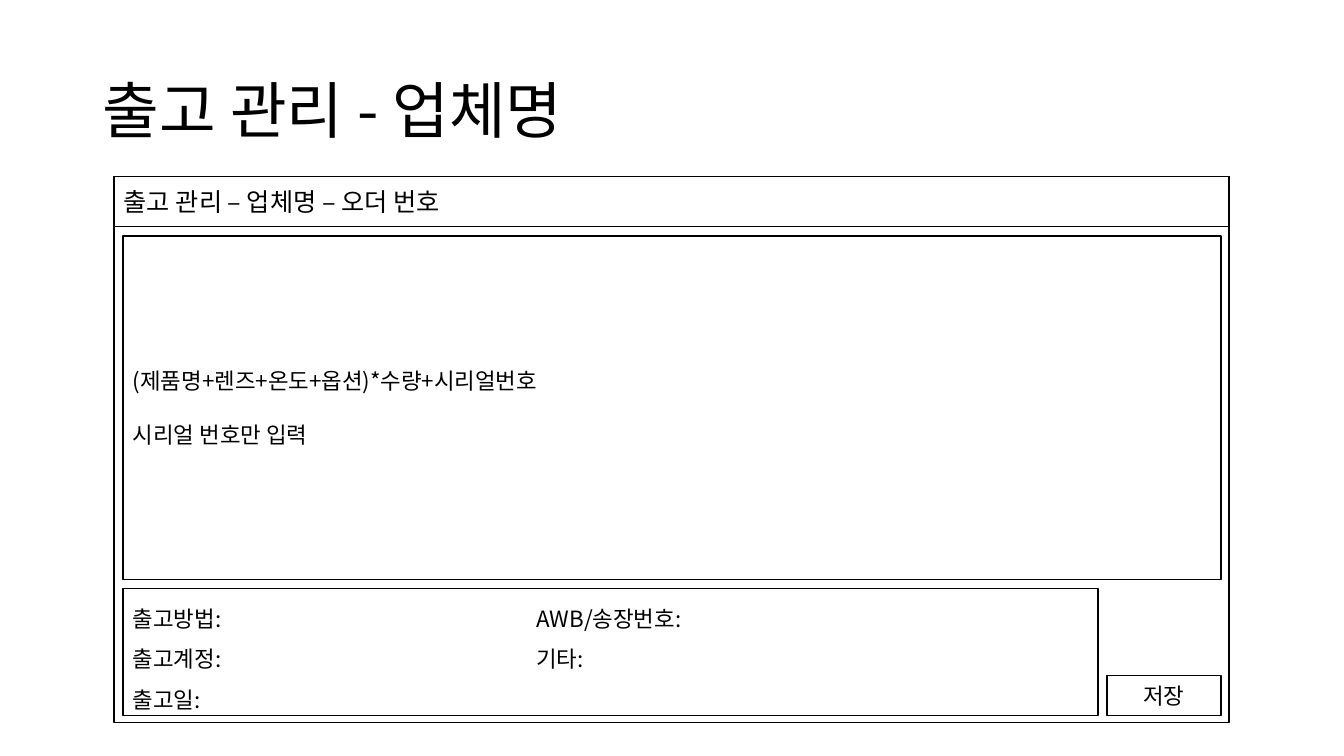
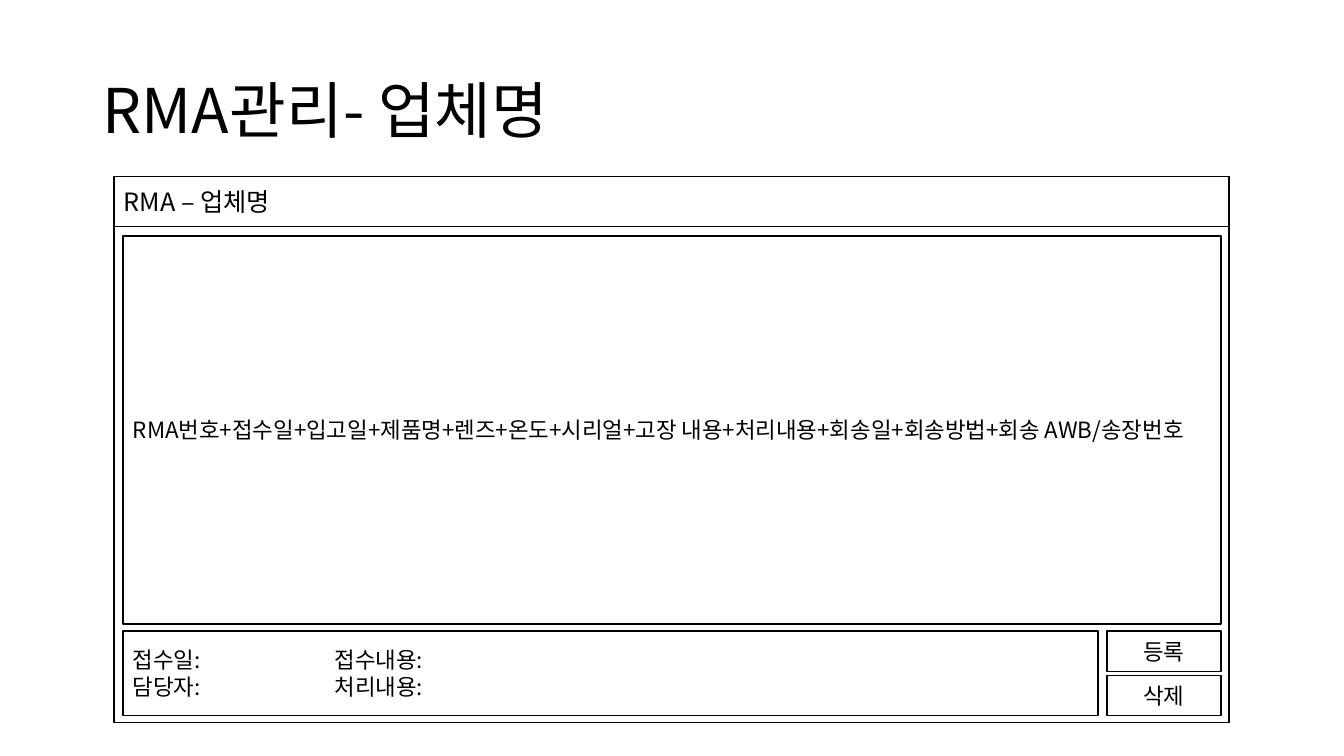
from dataclasses import dataclass

from lxml.etree import SubElement
from pptx import Presentation
from pptx.dml.color import RGBColor
from pptx.enum.shapes import MSO_SHAPE as Preset
from pptx.enum.text import MSO_ANCHOR as Anchor, MSO_AUTO_SIZE as AutoSize, PP_ALIGN as Align
from pptx.oxml.ns import qn
from pptx.util import Inches, Pt


@dataclass(frozen=True)
class Theme:
    font: str = "Noto Sans CJK KR"
    ink: RGBColor = RGBColor(0, 0, 0)
    title_size: int = 44
    caption_size: int = 18
    body_size: int = 16
    line_width: int = 1


FRAME = (1.13, 1.75, 11.06, 5.42)
HEADER = (1.13, 1.75, 11.06, 0.5)
CAPTION = (1.13, 1.8, 11.06, 0.4)
INNER_LEFT, INNER_TOP, INNER_WIDTH, INNER_BOTTOM = 1.22, 2.34, 10.89, 7.1
FIELDS_WIDTH = 9.67
BUTTON_LEFT, BUTTON_WIDTH, BUTTON_HEIGHT, BUTTON_STEP = 10.98, 1.13, 0.4, 0.44


def assign(target, values):
    for name, value in values.items():
        setattr(target, name, value)


class ScreenDeck:
    def __init__(self, theme):
        self.theme = theme
        self.deck = Presentation()
        assign(self.deck, {"slide_width": Inches(13.33), "slide_height": Inches(7.5)})
        self.slide = None

    def add_lines(self, frame, lines, size, tab=None, **paragraph_format):
        for index, line in enumerate(lines):
            paragraph = frame.paragraphs[0] if index == 0 else frame.add_paragraph()
            values = {"alignment": Align.LEFT, **paragraph_format}
            if index == 0:
                values.pop("space_before", None)
            assign(paragraph, values)
            if tab:
                stops = SubElement(paragraph._p.get_or_add_pPr(), qn("a:tabLst"))
                SubElement(stops, qn("a:tab"), pos=str(Inches(tab)), algn="l")
            run = paragraph.add_run()
            run.text = line
            assign(run.font, {"name": self.theme.font, "size": Pt(size)})
            run.font.color.rgb = self.theme.ink
            SubElement(run._r.get_or_add_rPr(), qn("a:ea"), typeface=self.theme.font)

    def title(self, text):
        self.slide = self.deck.slides.add_slide(self.deck.slide_layouts[5])
        heading = self.slide.shapes.title
        assign(heading, {"left": Inches(0.92), "top": Inches(0.4),
                         "width": Inches(11.5), "height": Inches(1.45)})
        assign(heading.text_frame, {"vertical_anchor": Anchor.MIDDLE, "word_wrap": True,
                                    "auto_size": AutoSize.NONE})
        self.add_lines(heading.text_frame, [text], self.theme.title_size, line_spacing=0.9)

    def box(self, place, lines=(), **text_format):
        panel = self.slide.shapes.add_shape(Preset.RECTANGLE, *map(Inches, place))
        panel.shadow.inherit = False
        panel.fill.background()
        panel.line.color.rgb = self.theme.ink
        panel.line.width = Pt(self.theme.line_width)
        assign(panel.text_frame, {"vertical_anchor": Anchor.MIDDLE, "word_wrap": True})
        self.add_lines(panel.text_frame, lines, self.theme.body_size, **text_format)

    def caption(self, text):
        label = self.slide.shapes.add_textbox(*map(Inches, CAPTION))
        assign(label.text_frame, {"word_wrap": True, "auto_size": AutoSize.SHAPE_TO_FIT_TEXT})
        self.add_lines(label.text_frame, [text], self.theme.caption_size)

    def window(self, title, caption):
        self.title(title)
        self.box(FRAME)
        self.box(HEADER)
        self.caption(caption)

    def content(self, bottom, lines, **text_format):
        self.box((INNER_LEFT, INNER_TOP, INNER_WIDTH, bottom - INNER_TOP), lines, **text_format)

    def fields(self, top, lines, **text_format):
        self.box((INNER_LEFT, top, FIELDS_WIDTH, INNER_BOTTOM - top), lines, **text_format)

    def buttons(self, *labels_from_bottom):
        for row, label in enumerate(labels_from_bottom):
            top = INNER_BOTTOM - BUTTON_HEIGHT - row * BUTTON_STEP
            self.box((BUTTON_LEFT, top, BUTTON_WIDTH, BUTTON_HEIGHT), [label],
                     alignment=Align.CENTER)


def main():
    screens = ScreenDeck(Theme())

    screens.window("출고 관리 - 업체명", "출고 관리 – 업체명 – 오더 번호")
    screens.content(5.75, ["(제품명+렌즈+온도+옵션)*수량+시리얼번호", "시리얼 번호만 입력"],
                    space_before=Pt(19))
    screens.buttons("저장")
    screens.fields(5.84, ["출고방법:\tAWB/송장번호:", "출고계정:\t기타:", "출고일:"],
                   tab=4, line_spacing=1.5)

    screens.window("RMA관리- 업체명", "RMA – 업체명")
    screens.content(6.19, ["RMA번호+접수일+입고일+제품명+렌즈+온도+시리얼+고장 내용+처리내용"
                           "+회송일+회송방법+회송 AWB/송장번호"])
    screens.buttons("삭제", "등록")
    screens.fields(6.26, ["접수일:\t접수내용:", "담당자:\t처리내용:"], tab=2)

    screens.deck.save("out.pptx")


if __name__ == "__main__":
    main()
